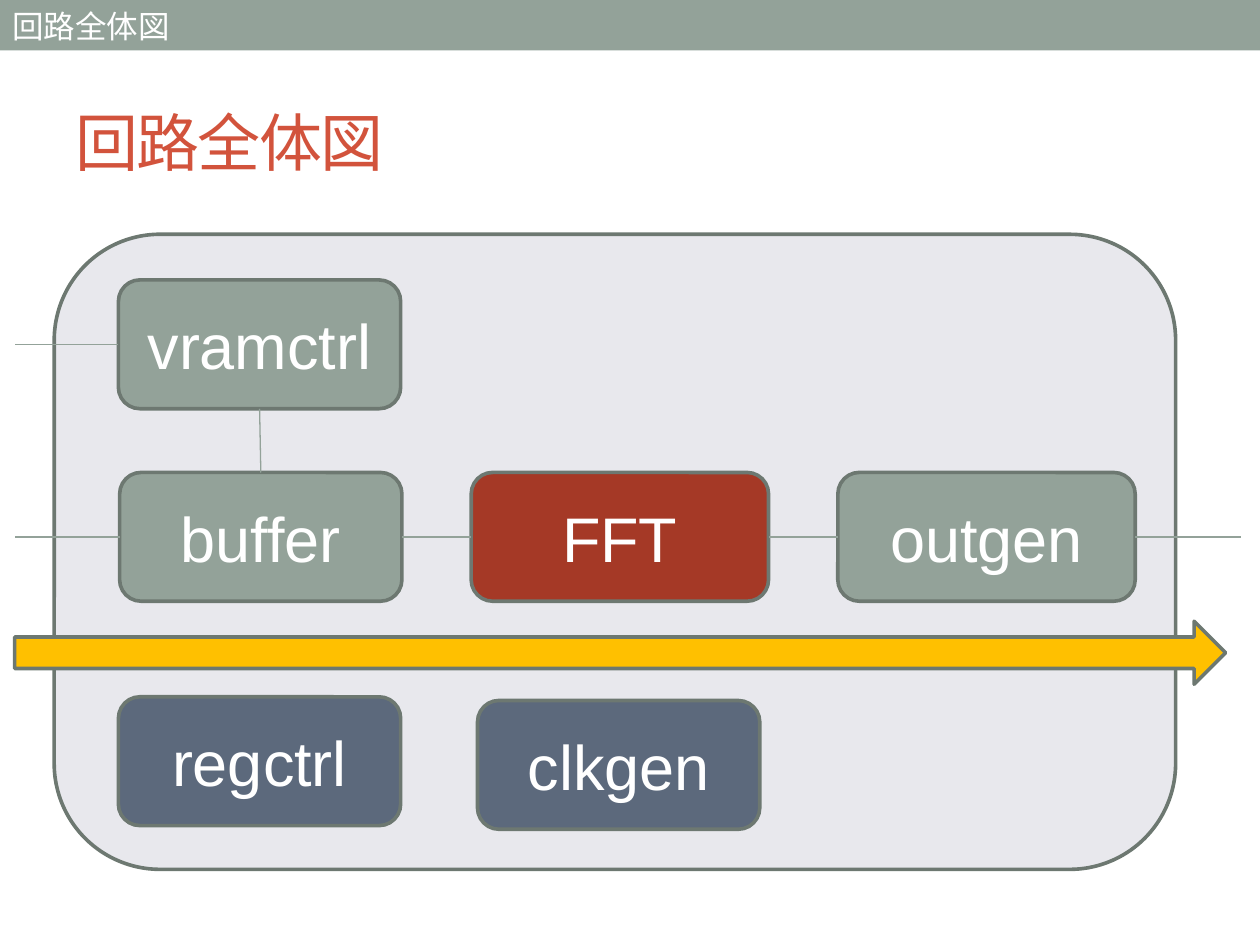
"""Builds the circuit overview slide: signal chain, control blocks and bus arrow."""
from dataclasses import dataclass

import pptx
import pptx.util
import pptx.dml.color
import pptx.enum.shapes
import pptx.enum.text
import pptx.oxml.ns
from lxml import etree

Pt = pptx.util.Pt
SHAPE = pptx.enum.shapes.MSO_SHAPE
ALIGN = pptx.enum.text.PP_ALIGN
ANCHOR = pptx.enum.text.MSO_ANCHOR
TOP, LEFT, BOTTOM, RIGHT = range(4)


@dataclass(frozen=True)
class Theme:
    font: str = "Arial"
    sage: str = "93A299"
    edge: str = "6D7871"
    panel: str = "E8E8ED"
    red: str = "A53926"
    slate: str = "5C697C"
    amber: str = "FFC000"
    heading: str = "D2533C"
    white: str = "FFFFFF"
    large: int = 36
    small: int = 18
    edge_width: float = 2.08
    wire_width: float = 0.75


class Diagram:
    def __init__(self, slide, theme):
        self.slide = slide
        self.theme = theme

    def rgb(self, color):
        return pptx.dml.color.RGBColor.from_string(color)

    def set_text(self, frame, text, size, color, align=ALIGN.LEFT):
        paragraph = frame.paragraphs[0]
        paragraph.text = text
        paragraph.alignment = align
        paragraph.font.name = self.theme.font
        paragraph.font.size = Pt(size)
        paragraph.font.color.rgb = self.rgb(color)
        return paragraph

    def shape(self, kind, x, y, w, h, fill, outlined=True):
        shape = self.slide.shapes.add_shape(kind, Pt(x), Pt(y), Pt(w), Pt(h))
        shape.shadow.inherit = False
        shape.fill.solid()
        shape.fill.fore_color.rgb = self.rgb(fill)
        if outlined:
            shape.line.color.rgb = self.rgb(self.theme.edge)
            shape.line.width = Pt(self.theme.edge_width)
        else:
            shape.line.fill.background()
        return shape

    def block(self, text, x, y, w, h, fill):
        block = self.shape(SHAPE.ROUNDED_RECTANGLE, x, y, w, h, fill)
        block.text_frame.vertical_anchor = ANCHOR.MIDDLE
        self.set_text(block.text_frame, text, self.theme.large, self.theme.white, ALIGN.CENTER)
        return block

    def label(self, text, x, y, w, h, size, color, wrap=True, anchor=ANCHOR.TOP):
        box = self.slide.shapes.add_textbox(Pt(x), Pt(y), Pt(w), Pt(h))
        box.text_frame.word_wrap = wrap
        box.text_frame.vertical_anchor = anchor
        return self.set_text(box.text_frame, text, size, color)

    def wire(self, start, site, end=None, end_site=LEFT, reach=0):
        wire = self.slide.shapes.add_connector(
            pptx.enum.shapes.MSO_CONNECTOR.STRAIGHT, 0, 0, 0, 0)
        wire.begin_connect(start, site)
        if end is None:
            wire.end_x, wire.end_y = Pt(reach), wire.begin_y
        else:
            wire.end_connect(end, end_site)
        wire.line.color.rgb = self.rgb(self.theme.sage)
        wire.line.width = Pt(self.theme.wire_width)
        etree.SubElement(wire._element.spPr, pptx.oxml.ns.qn("a:effectLst"))


theme = Theme()
deck = pptx.Presentation()
deck.slide_width, deck.slide_height = Pt(720), Pt(540)
diagram = Diagram(deck.slides.add_slide(deck.slide_layouts[6]), theme)

topic = "回路全体図"
diagram.shape(SHAPE.RECTANGLE, 0, 0, 720, 28.8, theme.sage, outlined=False)
diagram.shape(SHAPE.ROUNDED_RECTANGLE, 31, 133.9, 640.8, 362.9, theme.panel)
title = diagram.label(topic, 36, 41.8, 648, 77.8, theme.large, theme.heading,
                      anchor=ANCHOR.MIDDLE)
title.runs[0]._r.get_or_add_rPr().set("spc", "-100")
diagram.label(topic, 0, 0.7, 105, 28.8, theme.small, theme.white, wrap=False)

narrow, wide, height, gap = 161.3, 169.9, 73.6, 39.6
left, chain_y = 67.7, 270
buffer_x = 68.4
fft_x = buffer_x + narrow + gap
outgen_x = fft_x + wide + gap
vramctrl = diagram.block("vramctrl", left, 160, narrow, height, theme.sage)
buffer = diagram.block("buffer", buffer_x, chain_y, narrow, height, theme.sage)
outgen = diagram.block("outgen", outgen_x, chain_y, wide, height, theme.sage)
fft = diagram.block("FFT", fft_x, chain_y, wide, height, theme.red)
diagram.block("clkgen", 272.9, 400.3, narrow, height, theme.slate)
diagram.block("regctrl", left, 398.2, narrow, height, theme.slate)

diagram.wire(fft, RIGHT, outgen)
diagram.wire(buffer, RIGHT, fft)
diagram.wire(vramctrl, BOTTOM, buffer, TOP)
for source in (vramctrl, buffer):
    diagram.wire(source, LEFT, reach=8.6)
diagram.shape(SHAPE.RIGHT_ARROW, 8.4, 355, 692, 36, theme.amber)
diagram.wire(outgen, RIGHT, reach=709.2)

deck.save("out.pptx")
